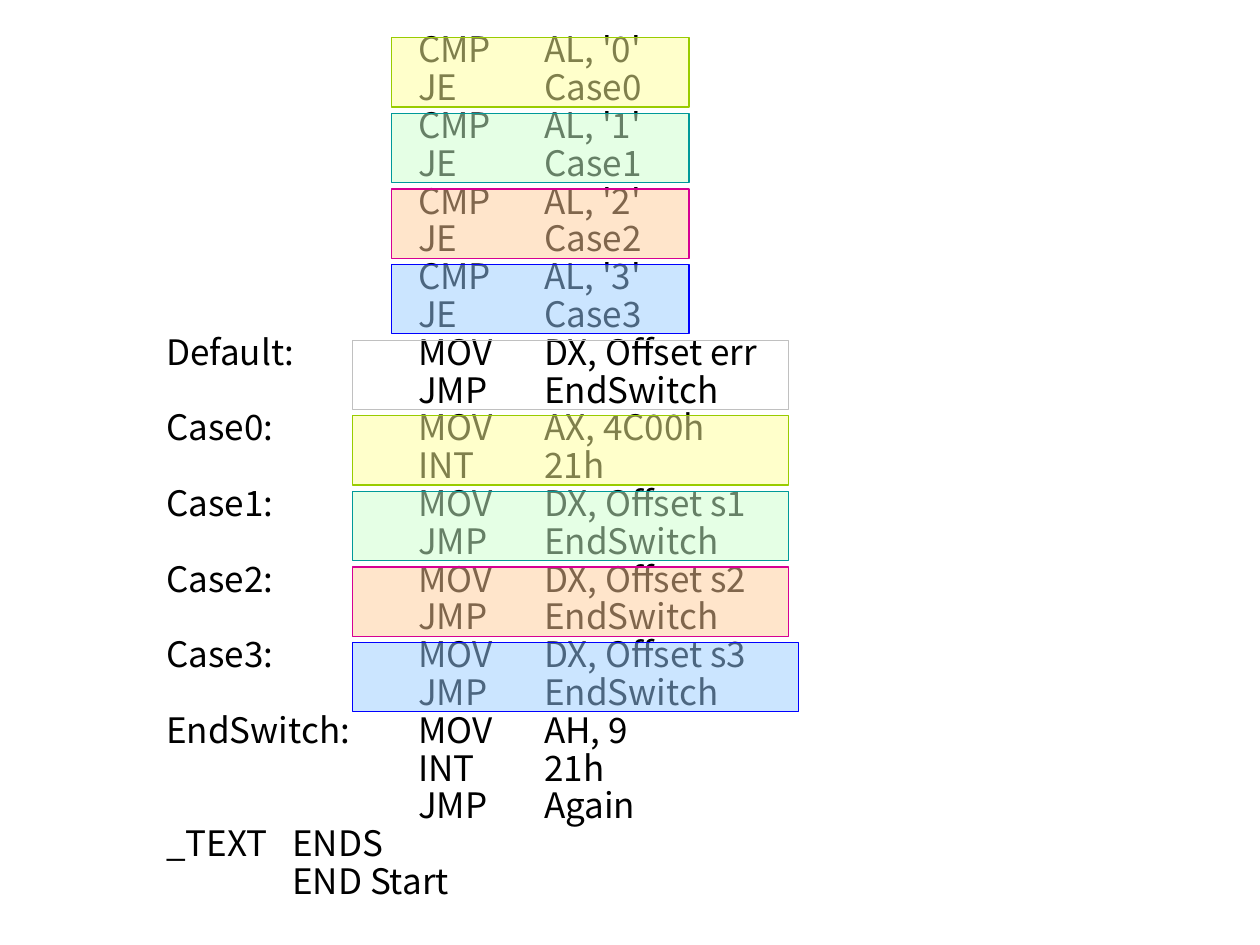
from lxml import etree
from pptx import Presentation
from pptx import util as u
from pptx.dml.color import RGBColor
from pptx.enum import shapes, text
from pptx.oxml.ns import qn

FONT = "Noto Sans CJK SC"
BLACK = RGBColor(0x00, 0x00, 0x00)
SILVER = RGBColor(0xC0, 0xC0, 0xC0)
CASE_COLORS = [
    (RGBColor(0xFF, 0xFF, 0x99), RGBColor(0x99, 0xCC, 0x00)),
    (RGBColor(0xCC, 0xFF, 0xCC), RGBColor(0x00, 0x99, 0x99)),
    (RGBColor(0xFF, 0xCC, 0x99), RGBColor(0xD6, 0x00, 0x93)),
    (RGBColor(0x99, 0xCC, 0xFF), RGBColor(0x00, 0x00, 0xFF)),
]
FIRST_TOP, PITCH, BAND_HEIGHT = 0.3, 0.6, 0.55

LISTING = """\
\t\tCMP\tAL, '0'
\t\tJE\tCase0
\t\tCMP\tAL, '1'
\t\tJE\tCase1
\t\tCMP\tAL, '2'
\t\tJE\tCase2
\t\tCMP\tAL, '3'
\t\tJE\tCase3
Default:\tMOV\tDX, Offset err
\t\tJMP\tEndSwitch
Case0:\t\tMOV\tAX, 4C00h
\t\tINT\t21h
Case1:\t\tMOV\tDX, Offset s1
\t\tJMP\tEndSwitch
Case2:\t\tMOV\tDX, Offset s2
\t\tJMP\tEndSwitch
Case3:\t\tMOV\tDX, Offset s3
\t\tJMP\tEndSwitch
EndSwitch:\tMOV\tAH, 9
\t\tINT\t21h
\t\tJMP\tAgain
_TEXT\tENDS
\tEND Start"""


def add_tab_stops(p):
    tabs = etree.SubElement(p._p.get_or_add_pPr(), qn("a:tabLst"))
    for inch in range(8):
        etree.SubElement(tabs, qn("a:tab"), pos=str(u.Inches(inch)), algn="l")


def add_listing(s, left, top, width, height):
    box = s.shapes.add_textbox(
        u.Inches(left), u.Inches(top), u.Inches(width), u.Inches(height))
    tf = box.text_frame
    tf.word_wrap = True
    tf.auto_size = text.MSO_AUTO_SIZE.SHAPE_TO_FIT_TEXT
    tf.text = LISTING
    for p in tf.paragraphs:
        add_tab_stops(p)
        p.line_spacing = 0.9
        for r in p.runs:
            r.font.name = FONT
            r.font.size = u.Pt(20)
            r.font.color.rgb = BLACK


def add_band(s, left, top, width, line, fill=None):
    sp = s.shapes.add_shape(
        shapes.MSO_SHAPE.RECTANGLE, u.Inches(left), u.Inches(top),
        u.Inches(width), u.Inches(BAND_HEIGHT))
    sp.shadow.inherit = False
    sp.line.color.rgb = line
    sp.line.width = u.Pt(0.75)
    if fill is None:
        sp.fill.background()
        return
    sp.fill.solid()
    sp.fill.fore_color.rgb = fill
    color = sp._element.spPr.find(qn("a:solidFill")).find(qn("a:srgbClr"))
    etree.SubElement(color, qn("a:alpha"), val="50000")


def add_case_bands(s, left, top, widths):
    for i, ((fill, line), width) in enumerate(zip(CASE_COLORS, widths)):
        add_band(s, left, top + i * PITCH, width, line, fill)


def main():
    prs = Presentation()
    prs.slide_width = u.Inches(10)
    prs.slide_height = u.Inches(7.5)
    s = prs.slides.add_slide(prs.slide_layouts[6])
    add_listing(s, 1.22, 0.21, 6.28, 7)
    add_case_bands(s, 3.11, FIRST_TOP, [2.36] * 4)
    add_case_bands(s, 2.8, FIRST_TOP + 5 * PITCH, [3.46] * 3 + [3.54])
    add_band(s, 2.8, FIRST_TOP + 4 * PITCH, 3.46, SILVER)
    prs.save("out.pptx")


if __name__ == "__main__":
    main()
